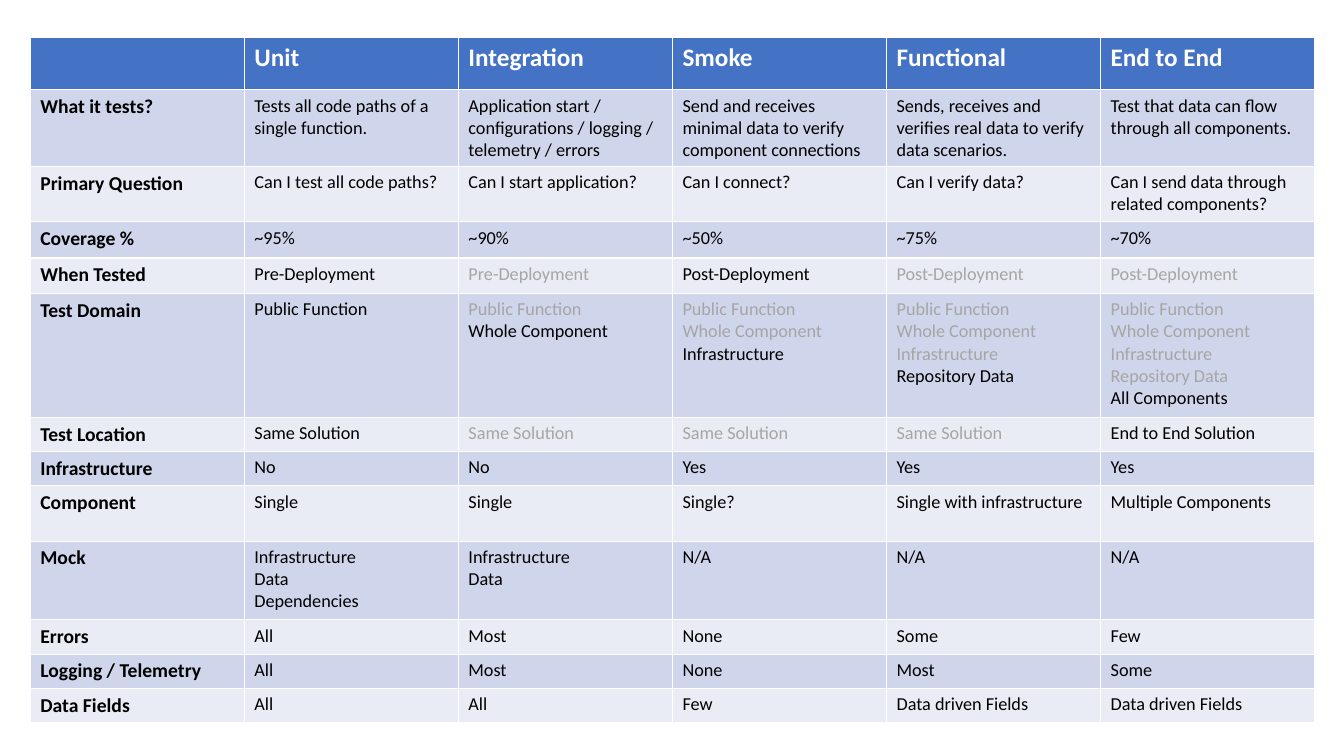
from pptx import Presentation
from pptx.dml.color import RGBColor
from pptx.util import Inches, Pt


def color(hex_string):
    return RGBColor.from_string(hex_string)


TEST_DOMAINS = ["Public Function", "Whole Component", "Infrastructure", "Repository Data", "All Components"]
ROWS = [
    (0.52, ["", "Unit", "Integration", "Smoke", "Functional", "End to End"]),
    (0.75, ["What it tests?",
            "Tests all code paths of a single function.",
            "Application start / configurations / logging / telemetry / errors",
            "Send and receives minimal data to verify component connections",
            "Sends, receives and verifies real data to verify data scenarios.",
            "Test that data can flow through all components."]),
    (0.55, ["Primary Question", "Can I test all code paths?", "Can I start application?",
            "Can I connect?", "Can I verify data?", "Can I send data through related components?"]),
    (0.36, ["Coverage %", "~95%", "~90%", "~50%", "~75%", "~70%"]),
    (0.35, ["When Tested", "Pre-Deployment", "Pre-Deployment",
            "Post-Deployment", "Post-Deployment", "Post-Deployment"]),
    (1.23, ["Test Domain"] + ["\n".join(TEST_DOMAINS[:count]) for count in range(1, 6)]),
    (0.34, ["Test Location", "Same Solution", "Same Solution", "Same Solution", "Same Solution",
            "End to End Solution"]),
    (0.34, ["Infrastructure", "No", "No", "Yes", "Yes", "Yes"]),
    (0.55, ["Component", "Single", "Single", "Single?", "Single with infrastructure", "Multiple Components"]),
    (0.78, ["Mock", "Infrastructure\nData\nDependencies", "Infrastructure\nData", "N/A", "N/A", "N/A"]),
    (0.34, ["Errors", "All", "Most", "None", "Some", "Few"]),
    (0.34, ["Logging / Telemetry", "All", "Most", "None", "Most", "Some"]),
    (0.33, ["Data Fields", "All", "All", "Few", "Data driven Fields", "Data driven Fields"]),
]
ROWS_WITH_GREY_REPEATS = {"When Tested", "Test Domain", "Test Location"}
COLUMN_COUNT = 6

presentation = Presentation()
presentation.slide_width = Inches(13.33)
presentation.slide_height = Inches(7.5)
slide = presentation.slides.add_slide(presentation.slide_layouts[6])

table_height = sum(height for height, texts in ROWS)
table = slide.shapes.add_table(
    len(ROWS), COLUMN_COUNT, Inches(0.3), Inches(0.37), Inches(12.74), Inches(table_height)
).table

for row_index, (height, texts) in enumerate(ROWS):
    table.rows[row_index].height = Inches(height)
    is_header = row_index == 0
    if is_header:
        fill_color, text_color = "4472C4", "FFFFFF"
    else:
        fill_color, text_color = "CFD5EA" if row_index % 2 else "E9EBF5", "000000"
    seen_lines = set()

    for column_index, text in enumerate(texts):
        cell = table.cell(row_index, column_index)
        cell.fill.solid()
        cell.fill.fore_color.rgb = color(fill_color)

        is_label = column_index == 0
        paragraph = cell.text_frame.paragraphs[0]
        paragraph.font.name = "Calibri"
        paragraph.font.size = Pt(18 if is_header else 14 if is_label else 13)
        paragraph.font.bold = is_header or is_label

        lines = text.split("\n") if text else []
        for line_index, line in enumerate(lines):
            if line_index:
                paragraph.add_line_break()
            run = paragraph.add_run()
            run.text = line
            is_repeat = texts[0] in ROWS_WITH_GREY_REPEATS and line in seen_lines
            run.font.color.rgb = color("A6A6A6" if is_repeat else text_color)
        seen_lines.update(lines)

presentation.save("out.pptx")
